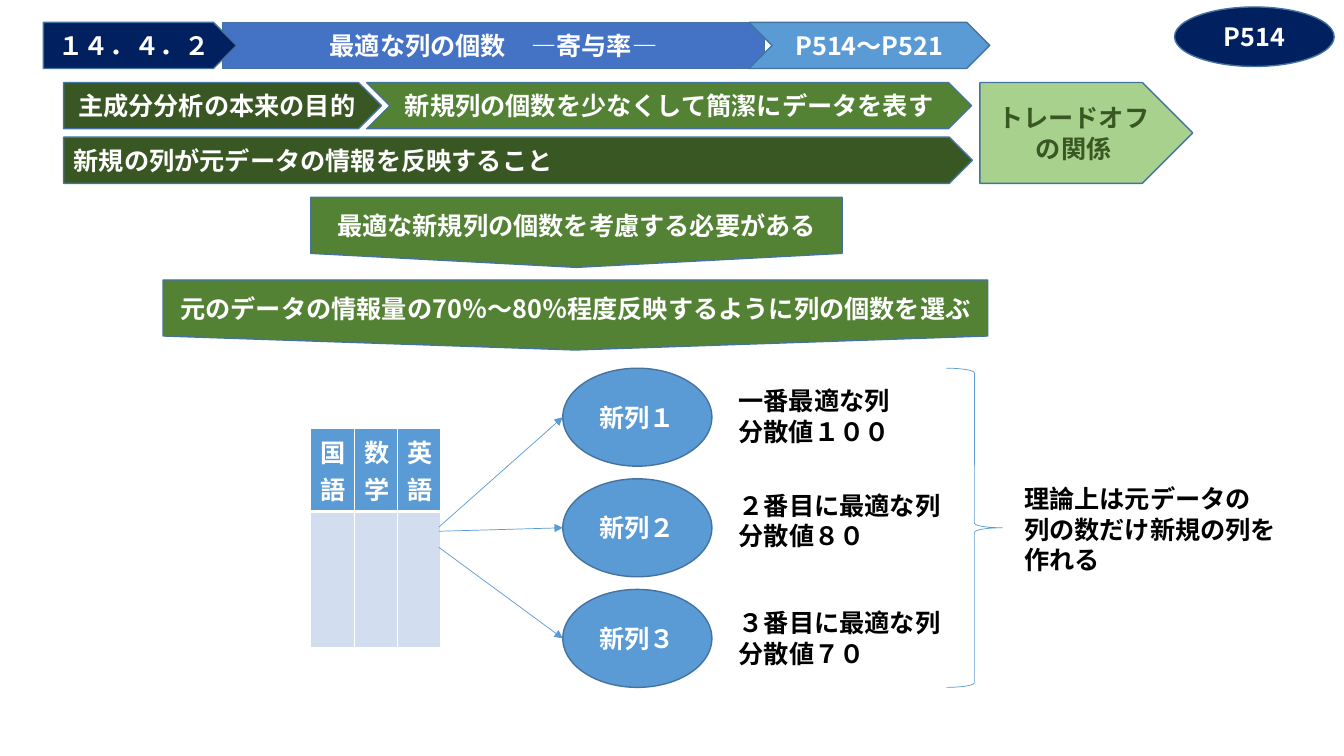
import pptx
import pptx.util
import pptx.dml.color
import pptx.enum.shapes
import pptx.enum.text
import pptx.oxml
import pptx.oxml.ns

Pt = pptx.util.Pt
RGBColor = pptx.dml.color.RGBColor
SHAPE = pptx.enum.shapes.MSO_SHAPE
LINK = pptx.enum.shapes.MSO_CONNECTOR
ALIGN = pptx.enum.text.PP_ALIGN
ANCHOR = pptx.enum.text.MSO_ANCHOR
AUTO = pptx.enum.text.MSO_AUTO_SIZE

WHITE = RGBColor(0xFF, 0xFF, 0xFF)
BLACK = RGBColor(0, 0, 0)
NAVY = RGBColor(0x00, 0x20, 0x60)
ROYAL = RGBColor(0x44, 0x72, 0xC4)
BLUE = RGBColor(0x5B, 0x9B, 0xD5)
EDGE = RGBColor(0x43, 0x73, 0x9E)
PALE = RGBColor(0xD2, 0xDE, 0xEF)
FOREST = RGBColor(0x38, 0x57, 0x23)
GREEN = RGBColor(0x54, 0x82, 0x35)
LIGHT = RGBColor(0xA9, 0xD1, 0x8E)

FACE = "Noto Sans CJK JP"
FONT = {"name": FACE, "size": Pt(18), "bold": True}

TOP, STEP = 263, 79
WIDE, HIGH = 106.5, 70
RING_X = 402
BAR = 33


def set_all(item, style):
    for key, value in style.items():
        setattr(item, key, value)


def add_xml(parent, tag, body="", **attrs):
    text = "".join(f' {key}="{value}"' for key, value in attrs.items())
    space = pptx.oxml.ns.nsdecls("a")
    node = pptx.oxml.parse_xml(f"<a:{tag} {space}{text}>{body}</a:{tag}>")
    parent.append(node)


def write(frame, lines, color, align=ALIGN.LEFT):
    frame.text = "\n".join(lines)
    for para in frame.paragraphs:
        para.alignment = align
        for run in para.runs:
            set_all(run.font, FONT)
            run.font.color.rgb = color
            add_xml(run.font._element, "ea", typeface=FACE)


def paint(shape, fill, edge=EDGE, width=1):
    if fill is None:
        shape.fill.background()
    else:
        shape.fill.solid()
        shape.fill.fore_color.rgb = fill
    shape.line.color.rgb = edge
    shape.line.width = Pt(width)


def add_block(slide, kind, box, fill, text, color=WHITE, align=ALIGN.CENTER):
    shape = slide.shapes.add_shape(kind, *map(Pt, box))
    shape.shadow.inherit = False
    paint(shape, fill)
    set_all(shape.text_frame, {"word_wrap": True, "vertical_anchor": ANCHOR.MIDDLE})
    write(shape.text_frame, [text], color, align)


def add_title(slide, box, text):
    """Turn the title placeholder into a chevron."""
    title = slide.shapes.title
    set_all(title, dict(zip(("left", "top", "width", "height"), map(Pt, box))))
    add_xml(title._element.spPr, "prstGeom", "<a:avLst/>", prst="chevron")
    paint(title, ROYAL)
    set_all(title.text_frame, {"word_wrap": True, "auto_size": AUTO.NONE,
                               "vertical_anchor": ANCHOR.MIDDLE})
    write(title.text_frame, [text], WHITE, ALIGN.CENTER)


def add_note(slide, box, lines):
    frame = slide.shapes.add_textbox(*map(Pt, box)).text_frame
    set_all(frame, {"word_wrap": True, "auto_size": AUTO.SHAPE_TO_FIT_TEXT})
    write(frame, lines, BLACK)


def add_arrow(slide, start, end):
    line = slide.shapes.add_connector(LINK.STRAIGHT, *map(Pt, start + end))
    line.line.color.rgb = BLUE
    line.line.width = Pt(0.5)
    add_xml(line.line._get_or_add_ln(), "tailEnd", type="triangle")
    add_xml(line._element.spPr, "effectLst")


def add_brace(slide, box):
    brace = slide.shapes.add_shape(SHAPE.RIGHT_BRACE, *map(Pt, box))
    brace.shadow.inherit = False
    paint(brace, None, BLUE, 0.5)


def style_cell(cell, fill, base):
    """Draw white borders, the lower one base points wide, then fill."""
    props = cell._tc.get_or_add_tcPr()
    for side, width in (("L", 1), ("R", 1), ("T", 1), ("B", base)):
        body = f'<a:solidFill><a:srgbClr val="{WHITE}"/></a:solidFill>'
        add_xml(props, "ln" + side, body, w=Pt(width))
    cell.fill.solid()
    cell.fill.fore_color.rgb = fill


def add_grid(slide, heads):
    wide, rows = 31, (36, 97)
    box = (222, 306, wide * len(heads), sum(rows))
    table = slide.shapes.add_table(2, len(heads), *map(Pt, box)).table
    for row, high in zip(table.rows, rows):
        row.height = Pt(high)
    for i, head in enumerate(heads):
        table.columns[i].width = Pt(wide)
        write(table.cell(0, i).text_frame, [head], WHITE)
        style_cell(table.cell(0, i), BLUE, 3)
        style_cell(table.cell(1, i), PALE, 1)
    for i in range(1, len(heads)):
        # The lower row meets the thick rule under the heads.
        table.cell(1, i).vertical_anchor = ANCHOR.TOP


def main():
    deck = pptx.Presentation()
    set_all(deck, {"slide_width": Pt(960), "slide_height": Pt(540)})
    slide = deck.slides.add_slide(deck.slide_layouts[5])

    add_title(slide, (159, 16, 387, BAR), "最適な列の個数　―寄与率―")
    blocks = [
        (SHAPE.PENTAGON, (31, 16, 138, BAR), NAVY, "１４．４．２"),
        (SHAPE.CHEVRON, (535, 16, 172, BAR), BLUE, "P514～P521"),
        (SHAPE.OVAL, (839, 5, 114, 42.5), NAVY, "P514"),
        (SHAPE.PENTAGON, (45.5, 59, 227, BAR), FOREST, "主成分分析の本来の目的"),
        (SHAPE.CHEVRON, (262, 59, 432, BAR), GREEN,
         "新規列の個数を少なくして簡潔にデータを表す"),
        (SHAPE.PENTAGON, (45.5, 98, 649, BAR), FOREST,
         "新規の列が元データの情報を反映すること", WHITE, ALIGN.LEFT),
        (SHAPE.PENTAGON, (700, 59, 152, 72), LIGHT, "トレードオフの関係", FOREST),
        (SHAPE.FLOWCHART_OFFPAGE_CONNECTOR, (222, 141, 379.5, 50), GREEN,
         "最適な新規列の個数を考慮する必要がある"),
        (SHAPE.FLOWCHART_OFFPAGE_CONNECTOR, (116.5, 200, 589, 50), GREEN,
         "元のデータの情報量の70％～80％程度反映するように列の個数を選ぶ"),
    ]
    for block in blocks:
        add_block(slide, *block)

    add_grid(slide, ["国語", "数学", "英語"])
    ranks = [
        ("新列１", 376.5, (272, 130), ["一番最適な列", "分散値１００"]),
        ("新列２", 379.5, (346.5, 186.5), ["２番目に最適な列", "分散値８０"]),
        ("新列３", 391, (430.5, 186.5), ["３番目に最適な列", "分散値７０"]),
    ]
    for i, (name, start, (top, width), lines) in enumerate(ranks):
        y = TOP + STEP * i
        add_block(slide, SHAPE.FLOWCHART_CONNECTOR, (RING_X, y, WIDE, HIGH), BLUE, name)
        add_arrow(slide, (313.5, start), (RING_X, y + HIGH / 2))
        add_note(slide, (520.5, top, width, 51), lines)

    add_brace(slide, (676, TOP, 40, 2 * STEP + HIGH))
    add_note(slide, (724.5, 342, 201.5, 73),
             ["理論上は元データの", "列の数だけ新規の列を作れる"])
    deck.save("out.pptx")


if __name__ == "__main__":
    main()
